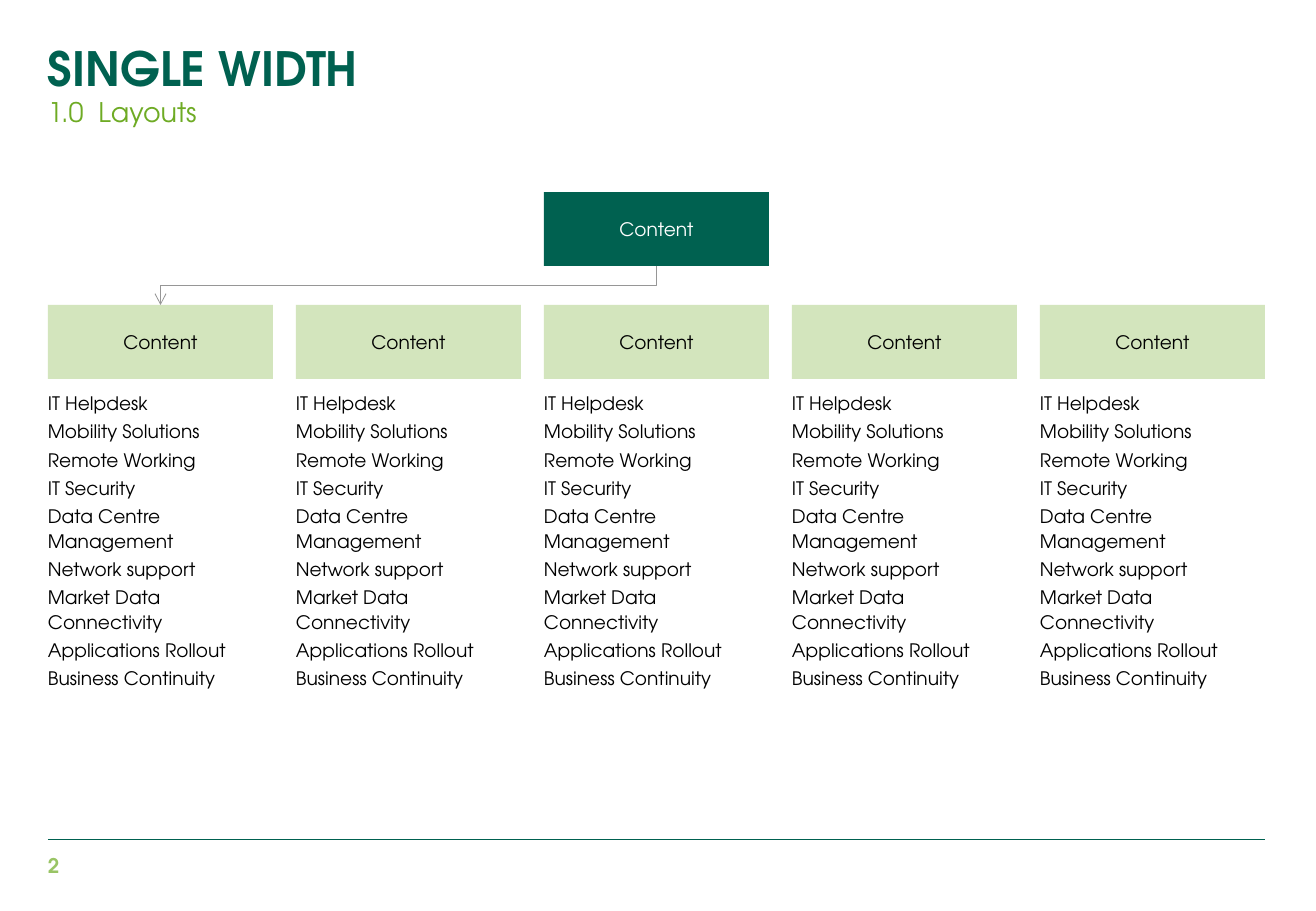
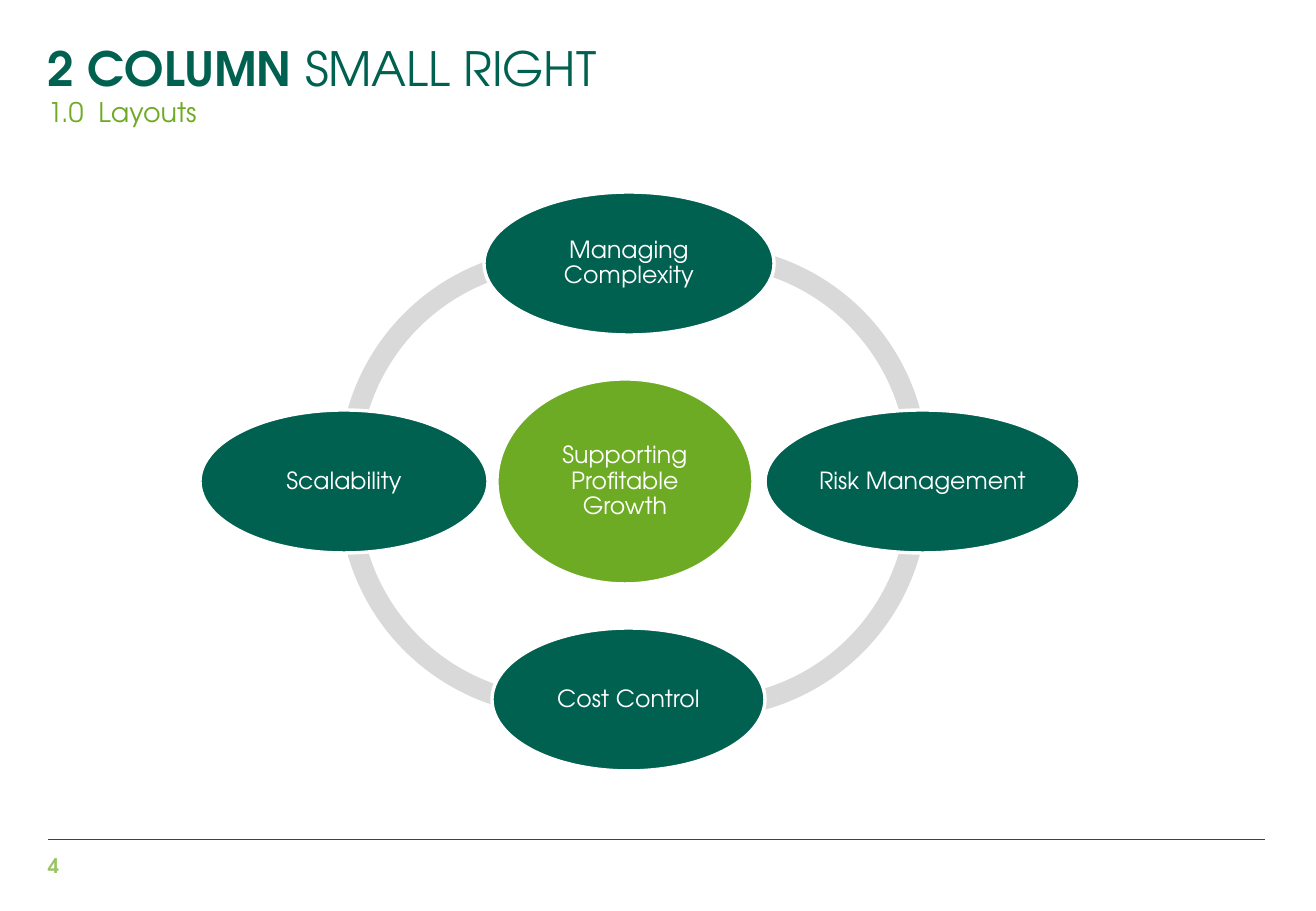
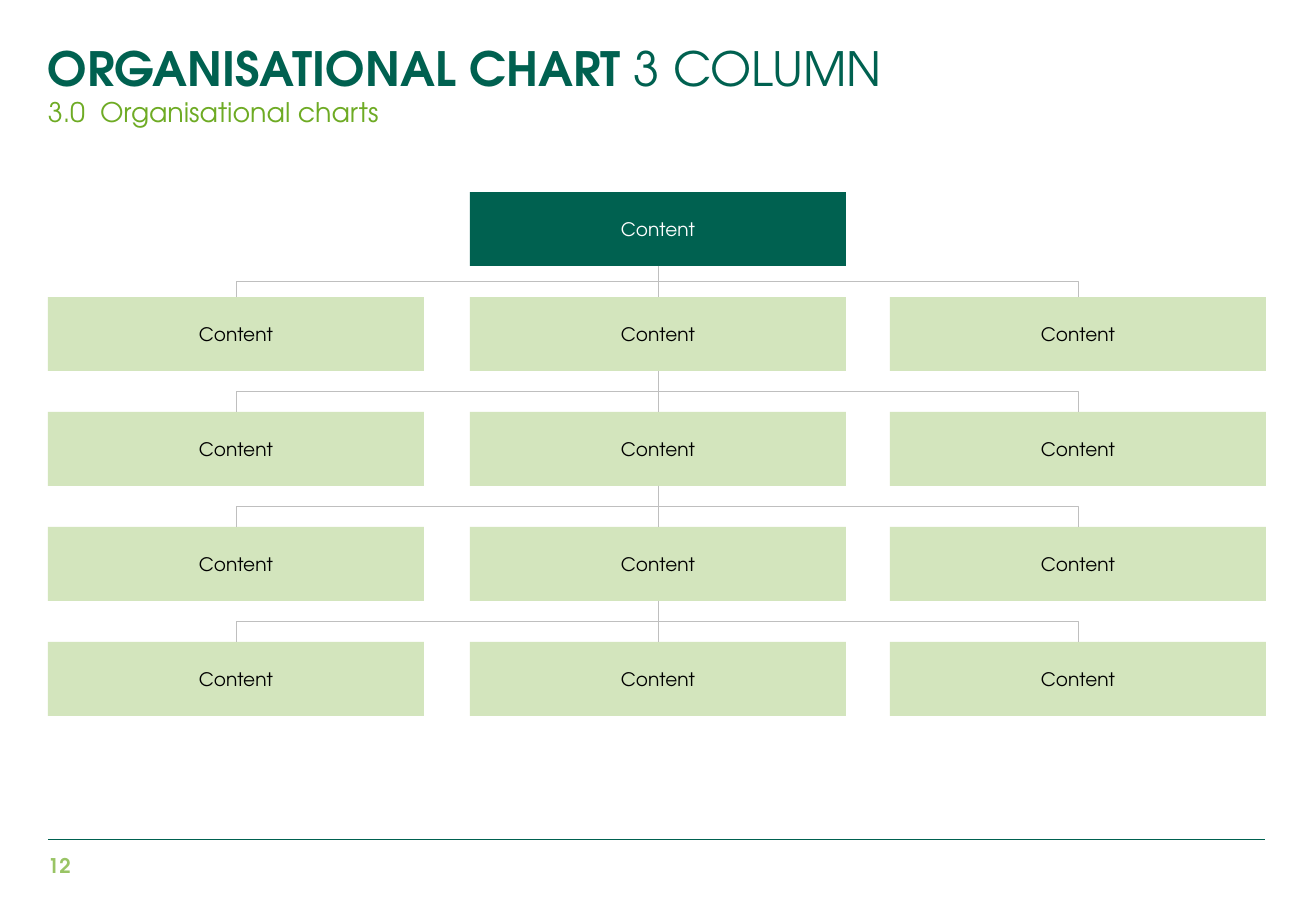
import pptx
import pptx.util
import pptx.dml.color
import pptx.enum.shapes
import pptx.enum.text
import pptx.oxml.ns
import lxml.etree

SLIDE_W, SLIDE_H = 1316, 911
EMU_PER_PX = 914400 / 121.5
FONT = "TeX Gyre Adventor"
COLORS = {
    "dark": "006150", "green": "6EAB24", "pale": "D3E5BD", "number": "99C465",
    "ring": "D9D9D9", "arrow": "969696", "link": "BFBFBF",
    "white": "FFFFFF", "black": "000000",
}
LEFT, WIDTH = 48, 1217
BOX_H = 74
SHAPE = pptx.enum.shapes.MSO_SHAPE
CONNECTOR = pptx.enum.shapes.MSO_CONNECTOR
MIDDLE = pptx.enum.text.MSO_ANCHOR.MIDDLE
CENTER = pptx.enum.text.PP_ALIGN.CENTER

SERVICES = [
    "IT Helpdesk", "Mobility Solutions", "Remote Working", "IT Security",
    "Data Centre Management", "Network support", "Market Data Connectivity",
    "Applications Rollout", "Business Continuity",
]


def px(n):
    return pptx.util.Emu(round(n * EMU_PER_PX))


def rgb(name):
    return pptx.dml.color.RGBColor.from_string(COLORS[name])


# Text
def style_run(r, size, color, bold=False):
    r.font.name = FONT
    r.font.size = pptx.util.Pt(size)
    r.font.bold = bold
    r.font.color.rgb = rgb(color)


def fill_text(sp, text, size, color, bold=False, inset=0, spacing=None,
              before=None, align=None, anchor=None):
    tf = sp.text_frame
    tf.text = text
    tf.word_wrap = True
    tf.margin_left = tf.margin_right = tf.margin_top = tf.margin_bottom = px(inset)
    tf.vertical_anchor = anchor or pptx.enum.text.MSO_ANCHOR.TOP
    for p in tf.paragraphs:
        p.alignment = align
        p.line_spacing = spacing
        if before:
            p.space_before = pptx.util.Pt(before)
        for r in p.runs:
            style_run(r, size, color, bold)
    return tf


def add_text(s, box, text, size, color, **kw):
    sp = s.shapes.add_textbox(*map(px, box))
    return fill_text(sp, text, size, color, **kw)


# Shapes and lines
def add_shape(s, kind, box, fill, outline=None):
    sp = s.shapes.add_shape(kind, *map(px, box))
    sp.shadow.inherit = False
    sp.fill.solid()
    sp.fill.fore_color.rgb = rgb(fill)
    if outline:
        sp.line.color.rgb = rgb(outline)
        sp.line.width = pptx.util.Pt(2)
    else:
        sp.line.fill.background()
    return sp


def add_box(s, box, fill="pale", color="black"):
    sp = add_shape(s, SHAPE.RECTANGLE, box, fill)
    fill_text(sp, "Content", 11, color, inset=10, align=CENTER, anchor=MIDDLE)


def add_line(s, start, end, color, width=0.5, kind=CONNECTOR.STRAIGHT):
    c = s.shapes.add_connector(kind, *map(px, (*start, *end)))
    c.line.color.rgb = rgb(color)
    c.line.width = pptx.util.Pt(width)
    lxml.etree.SubElement(c._element.spPr, pptx.oxml.ns.qn("a:effectLst"))
    return c


def add_elbow(s, start, end, color):
    """Leaves downwards, turns halfway and arrives from above."""
    (x1, y1), (x2, y2) = start, end
    mid_x, mid_y = (x1 + x2) / 2, (y1 + y2) / 2
    half_w, half_h = (y2 - y1) / 2, abs(x2 - x1) / 2
    side = -1 if x2 < x1 else 1
    c = add_line(s, (mid_x + side * half_w, mid_y - half_h),
                 (mid_x - side * half_w, mid_y + half_h), color, kind=CONNECTOR.ELBOW)
    xfrm = c._element.spPr.find(pptx.oxml.ns.qn("a:xfrm"))
    xfrm.set("rot", str((90 if side < 0 else 270) * 60000))
    return c


def add_arrowhead(c):
    ln = c._element.spPr.find(pptx.oxml.ns.qn("a:ln"))
    lxml.etree.SubElement(ln, pptx.oxml.ns.qn("a:tailEnd"), type="arrow")


# Title, section line and footer shared by all slides
def add_page(prs, number, bold, light, section):
    s = prs.slides.add_slide(prs.slide_layouts[6])
    add_line(s, (LEFT, 839), (LEFT + WIDTH, 839), "dark", 0.2)
    add_text(s, (LEFT, 853, 62, 24), str(number), 12, "number", bold=True, anchor=MIDDLE)
    tf = add_text(s, (LEFT, 48, WIDTH, 42), bold, 28, "dark", bold=True, spacing=0.85)
    if light:
        r = tf.paragraphs[0].add_run()
        r.text = light
        style_run(r, 28, "dark")
    add_text(s, (LEFT, 96, 1200, 33), section, 16, "green")
    return s


# One head box above five columns of services
def add_service_columns(s, left, top, width):
    count, col_w, head_gap = 5, 225, 113
    pitch = (width - col_w) / (count - 1)
    xs = [left + i * pitch for i in range(count)]
    for x in xs:
        add_box(s, (x, top + head_gap, col_w, BOX_H))
        add_text(s, (x, top + 198, col_w, 405), "\n".join(SERVICES), 11, "black",
                 spacing=1.1, before=2.2)
    add_box(s, (xs[2], top, col_w, BOX_H), "dark", "white")
    c = add_elbow(s, (xs[2] + col_w / 2, top + BOX_H),
                  (xs[0] + col_w / 2, top + head_gap), "arrow")
    add_arrowhead(c)


# Ring of four themes round a core
def add_theme_ring(s, left, top):
    size = 446
    # x, y, start angle, end angle
    arcs = [
        (139, 56, 177.19, 288.02), (139, 78, 71.98, 182.81),
        (282, 80, 356.4, 110.41), (282, 53, 249.6, 3.6),
    ]
    for x, y, start, end in arcs:
        sp = add_shape(s, SHAPE.BLOCK_ARC, (left + x, top + y, size, size), "ring")
        # Angles are stored in 60000ths of a degree, adjustments in 100000ths
        for i, value in enumerate((start * 0.6, end * 0.6, 0.046)):
            sp.adjustments[i] = value

    theme_h = 143
    ovals = [
        ("Supporting Profitable Growth", "green", 297, 187, 256, 205),
        ("Managing Complexity", "dark", 284, 0, 290, theme_h),
        ("Risk Management", "dark", 565, 218, 315, theme_h),
        ("Cost Control", "dark", 292, 436, 273, theme_h),
        ("Scalability", "dark", 0, 218, 288, theme_h),
    ]
    for text, fill, x, y, w, h in ovals:
        sp = add_shape(s, SHAPE.OVAL, (left + x, top + y, w, h), fill, "white")
        fill_text(sp, text, 14, "white", inset=2, spacing=0.9, align=CENTER, anchor=MIDDLE)


# Head box above four linked rows of three
def add_org_chart(s, left, top):
    box_w, first_row, pitch = 376, 105, 115
    xs = [left + x for x in (0, 422, 842)]
    rows = [top + first_row + i * pitch for i in range(4)]
    centers = [x + box_w / 2 for x in xs]
    add_box(s, (xs[1], top, box_w, BOX_H), "dark", "white")
    for y in rows:
        for x in xs:
            add_box(s, (x, y, box_w, BOX_H))
    for above, y in zip([top] + rows, rows):
        start = (centers[1], above + BOX_H)
        add_elbow(s, start, (centers[0], y), "link")
        add_elbow(s, start, (centers[2], y), "link")
        add_line(s, start, (centers[1], y), "link")


def main():
    prs = pptx.Presentation()
    prs.slide_width, prs.slide_height = px(SLIDE_W), px(SLIDE_H)

    s = add_page(prs, 2, "SINGLE WIDTH", "", "1.0  Layouts")
    add_service_columns(s, LEFT, 192, WIDTH)

    s = add_page(prs, 4, "2 COLUMN ", "SMALL RIGHT", "1.0  Layouts")
    add_theme_ring(s, 200, 192)

    s = add_page(prs, 12, "ORGANISATIONAL CHART ", "3 COLUMN", "3.0  Organisational charts")
    add_org_chart(s, LEFT, 192)

    prs.save("out.pptx")


if __name__ == "__main__":
    main()
